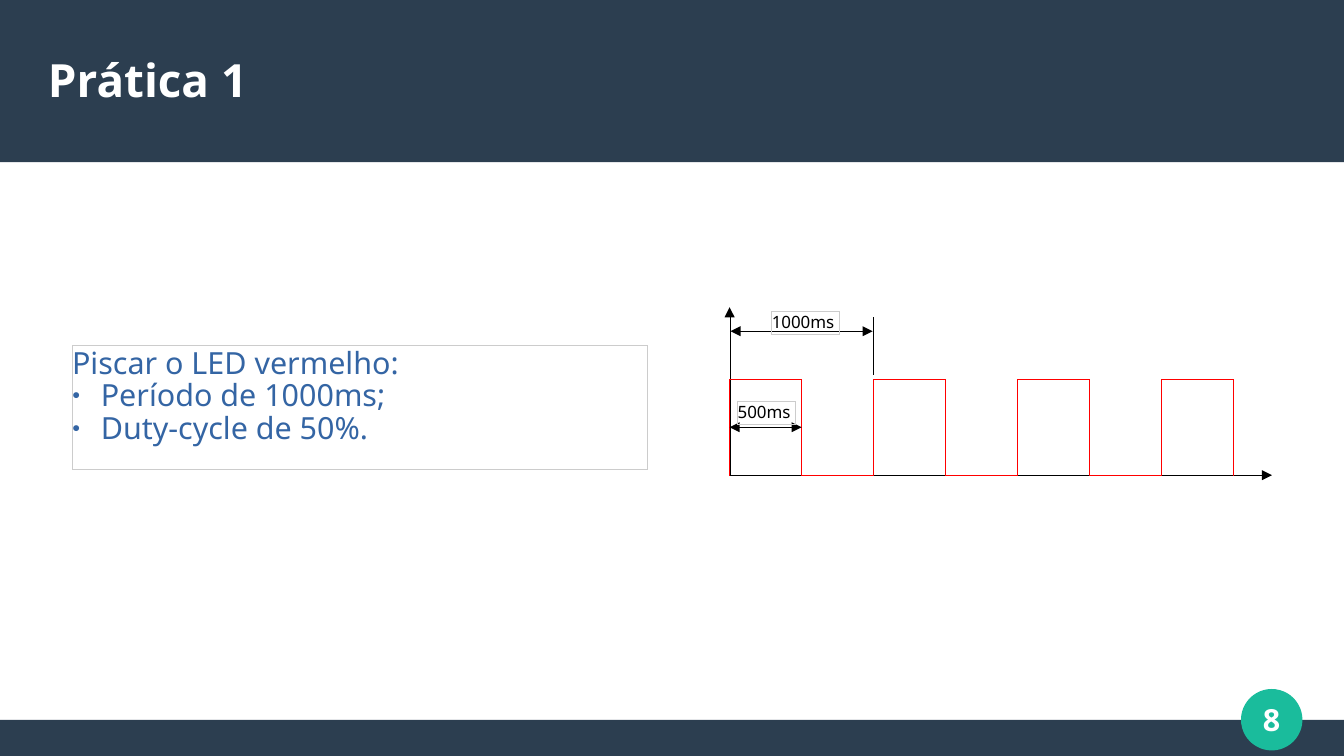
from itertools import pairwise

from lxml import etree
from pptx import Presentation
from pptx.dml.color import RGBColor
from pptx.enum.shapes import MSO_CONNECTOR, MSO_SHAPE
from pptx.enum.text import MSO_ANCHOR, MSO_AUTO_SIZE, PP_ALIGN
from pptx.oxml.ns import qn
from pptx.util import Cm, Pt

STRAIGHT = MSO_CONNECTOR.STRAIGHT
RECT, OVAL = MSO_SHAPE.RECTANGLE, MSO_SHAPE.OVAL
TOP, MIDDLE = MSO_ANCHOR.TOP, MSO_ANCHOR.MIDDLE
LEFT, CENTER = PP_ALIGN.LEFT, PP_ALIGN.CENTER
NO_AUTOFIT = MSO_AUTO_SIZE.NONE

FONT = "Noto Sans"
NAVY, TEAL, BLUE = "2C3E50", "1ABC9C", "3465A4"
WHITE, BLACK, RED, GREY = "FFFFFF", "000000", "FF0000", "CCCCCC"
SLIDE_W, SLIDE_H = 28, 15.75


def rgb(hex_colour):
    return RGBColor.from_string(hex_colour)


def place(shape, x, y, w, h):
    shape.left, shape.top, shape.width, shape.height = Cm(x), Cm(y), Cm(w), Cm(h)


def hairline(shape, colour):
    """Give the shape a line of zero width and return the line element."""
    shape.line.color.rgb = rgb(colour)
    ln = shape._element.spPr.find(qn("a:ln"))
    ln.set("w", "0")
    return ln


def style_text(tf, size, colour, bold=False, align=LEFT, anchor=TOP):
    tf.auto_size = NO_AUTOFIT
    tf.word_wrap = True
    tf.vertical_anchor = anchor
    tf.margin_left = tf.margin_right = tf.margin_top = tf.margin_bottom = 0
    for p in tf.paragraphs:
        p.alignment = align
        p.space_before = Pt(0)
        for r in p.runs:
            r.font.name, r.font.size, r.font.bold = FONT, Pt(size), bold
            r.font.color.rgb = rgb(colour)


def set_bullet(p, char=None):
    """Bullet the paragraph with char, or take its bullet and indent away."""
    pPr = p._p.get_or_add_pPr()
    indent = Cm(0.6) if char else 0
    pPr.set("marL", str(indent))
    pPr.set("indent", str(-indent))
    if not char:
        etree.SubElement(pPr, qn("a:buNone"))
        return
    colour = etree.SubElement(pPr, qn("a:buClr"))
    etree.SubElement(colour, qn("a:srgbClr"), val=BLUE)
    etree.SubElement(pPr, qn("a:buSzPct"), val="45000")
    etree.SubElement(pPr, qn("a:buChar"), char=char)


def add_filled(s, kind, x, y, w, h, colour):
    sp = s.shapes.add_shape(kind, Cm(x), Cm(y), Cm(w), Cm(h))
    sp.shadow.inherit = False
    sp.fill.solid()
    sp.fill.fore_color.rgb = rgb(colour)
    sp.line.fill.background()
    return sp


def add_line(s, start, end, colour=BLACK, head=False, tail=False):
    line = s.shapes.add_connector(STRAIGHT, *(Cm(v) for v in (*start, *end)))
    ln = hairline(line, colour)
    for tag, wanted in (("a:headEnd", head), ("a:tailEnd", tail)):
        if wanted:
            etree.SubElement(ln, qn(tag), type="triangle")
    etree.SubElement(line._element.spPr, qn("a:effectLst"))


def add_label(s, text, x, y, w):
    sp = s.shapes.add_textbox(Cm(x), Cm(y), Cm(w), Cm(0.48))
    sp.text_frame.text = text
    style_text(sp.text_frame, 10, BLACK)
    hairline(sp, GREY)


def add_bands(s, header_h, footer_h):
    """Put the header and footer bands behind the placeholders."""
    for y, h in ((0, header_h), (SLIDE_H - footer_h, footer_h)):
        band = add_filled(s, RECT, 0, y, SLIDE_W, h, NAVY)
        s.shapes._spTree.insert(2, band._element)


def add_page_number(s, number, x, y, size):
    badge = add_filled(s, OVAL, x, y, size, size, TEAL)
    badge.line.color.rgb = rgb(TEAL)
    badge.line.width = Pt(0.85)
    badge.text_frame.text = number
    style_text(badge.text_frame, 18, WHITE, True, CENTER, MIDDLE)


def fill_title(s, text, x, y, w, h):
    title = s.shapes.title
    place(title, x, y, w, h)
    title.text_frame.text = text
    style_text(title.text_frame, 27, WHITE, True, LEFT, MIDDLE)


def fill_body(s, heading, items, x, y, w, h):
    body = s.placeholders[1]
    place(body, x, y, w, h)
    tf = body.text_frame
    tf.text = "\n".join([heading, *items])
    for i, p in enumerate(tf.paragraphs):
        set_bullet(p, "●" if i else None)
        p.line_spacing = 0.88
    style_text(tf, 18, BLUE)
    tf.margin_top = Cm(0.08)
    hairline(body, GREY)


def draw_square_wave(s, x, y, w, h, half=1.5, pulse_h=2, periods=4):
    """Draw axes, pulses and time marks; half is half a period."""
    base = y + h
    top = base - pulse_h
    add_line(s, (x, base), (x, y), tail=True)
    add_line(s, (x, base), (x + w, base), tail=True)

    corners = []
    for n in range(periods):
        rise = x + 2 * n * half
        fall = rise + half
        corners += [(rise, base), (rise, top), (fall, top), (fall, base)]
    for start, end in pairwise(corners):
        add_line(s, start, end, RED)

    period_end = x + 2 * half
    add_line(s, (period_end, top - 0.1), (period_end, y + 0.22))
    period_y, pulse_y = y + 0.5, top + pulse_h / 2
    add_line(s, (x + 0.02, period_y), (period_end - 0.02, period_y), head=True, tail=True)
    add_label(s, "1000ms", x + 0.88, y + 0.1, 1.42)
    add_line(s, (x, pulse_y), (x + half, pulse_y), head=True, tail=True)
    add_label(s, "500ms", x + 0.17, top + 0.46, 1.2)


def main():
    prs = Presentation()
    prs.slide_width, prs.slide_height = Cm(SLIDE_W), Cm(SLIDE_H)
    s = prs.slides.add_slide(prs.slide_layouts[1])
    add_bands(s, 3.38, 0.75)
    add_page_number(s, "8", 25.87, 14.37, 1.25)
    fill_title(s, "Prática 1", 1, 0.65, 26, 2)
    fill_body(s, "Piscar o LED vermelho:",
              ["Período de 1000ms;", "Duty-cycle de 50%."], 1.5, 7.19, 12, 2.6)
    draw_square_wave(s, 15.2, 6.4, 11.3, 3.5)
    prs.save("out.pptx")


if __name__ == "__main__":
    main()
